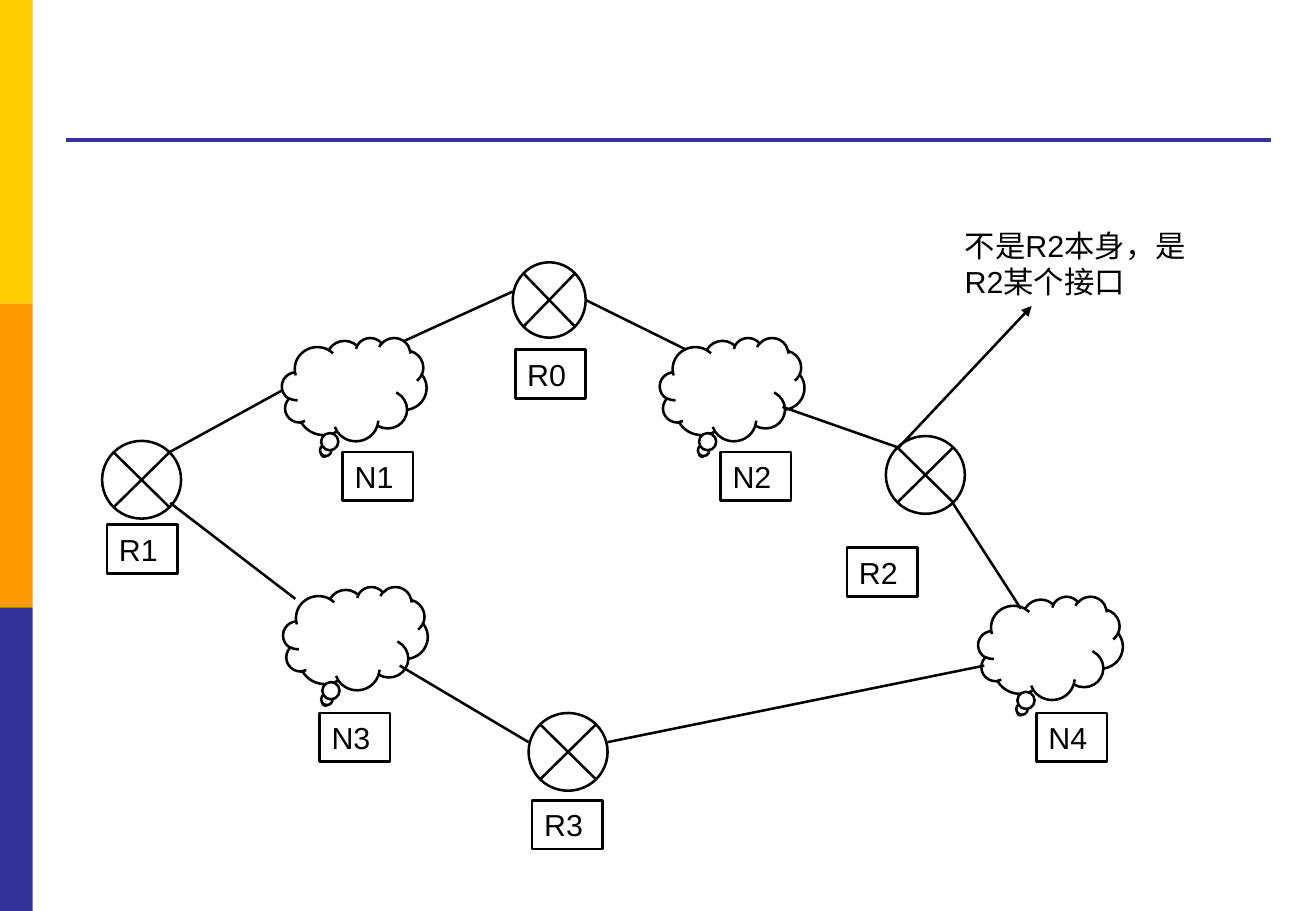
import pptx
import pptx.util
import pptx.dml.color
import pptx.enum.shapes
import pptx.enum.text
import pptx.oxml.ns
from lxml import etree

Inches, Pt = pptx.util.Inches, pptx.util.Pt
SHAPE = pptx.enum.shapes.MSO_SHAPE


def rgb(value):
    return pptx.dml.color.RGBColor.from_string(value)


def add_line(x1, y1, x2, y2, color="000000", width=1.5):
    straight = pptx.enum.shapes.MSO_CONNECTOR.STRAIGHT
    c = s.shapes.add_connector(straight, Inches(x1), Inches(y1), Inches(x2), Inches(y2))
    c.line.color.rgb = rgb(color)
    c.line.width = Pt(width)
    etree.SubElement(c._element.spPr, pptx.oxml.ns.qn("a:effectLst"))
    return c


prs = pptx.Presentation()
prs.slide_width, prs.slide_height = Inches(10.83), Inches(7.5)
s = prs.slides.add_slide(prs.slide_layouts[6])

# Colour bands on the left and the title rule
for i, color in enumerate(["FFCC00", "FF9900", "333399"]):
    sp = s.shapes.add_shape(SHAPE.RECTANGLE, 0, Inches(2.5 * i), Inches(0.27), Inches(2.5))
    sp.shadow.inherit = False
    sp.fill.solid()
    sp.fill.fore_color.rgb = rgb(color)
    sp.line.fill.background()
add_line(0.54, 1.15, 10.46, 1.15, "333399", 2.25)

# Routers (ellipses) and networks (clouds)
routers = [
    (4.22, 2.16, 0.6, 0.62),
    (0.84, 3.63, 0.65, 0.64),
    (7.29, 3.59, 0.65, 0.64),
    (4.35, 5.87, 0.65, 0.64),
]
networks = [(x, y, 1.19, 0.85) for x, y in [(2.32, 2.78), (5.43, 2.78), (2.33, 4.83), (8.05, 4.91)]]
for kind, boxes in [(SHAPE.OVAL, routers), (SHAPE.CLOUD_CALLOUT, networks)]:
    for box in boxes:
        sp = s.shapes.add_shape(kind, *map(Inches, box))
        sp.shadow.inherit = False
        sp.fill.solid()
        sp.fill.fore_color.rgb = rgb("FFFFFF")
        sp.line.color.rgb = rgb("000000")
        sp.line.width = Pt(1.5)

# Cross in each router, ending on the ellipse at 45 degrees
for x, y, w, h in routers:
    dx, dy = 0.15 * w, 0.15 * h
    add_line(x + dx, y + dy, x + w - dx, y + h - dy)
    add_line(x + dx, y + h - dy, x + w - dx, y + dy)

# Links between routers and networks
links = [
    (1.4, 3.72, 2.33, 3.21),
    (3.32, 2.81, 4.22, 2.4),
    (5.65, 2.88, 4.82, 2.47),
    (7.38, 3.68, 6.44, 3.35),
    (8.4, 5.01, 7.84, 4.14),
    (5, 6.11, 8.1, 5.48),
    (3.29, 5.48, 4.35, 6.11),
    (1.4, 4.14, 2.43, 4.93),
]
for link in links:
    add_line(*link)

# Arrow from R2 to its note
arrow = add_line(7.39, 3.69, 8.49, 2.52)
etree.SubElement(arrow.line._get_or_add_ln(), pptx.oxml.ns.qn("a:tailEnd"), type="triangle")

# Framed labels and the note
texts = [
    ("R0", 4.24, 2.88), ("R1", 0.88, 4.32), ("R2", 6.97, 4.51), ("R3", 4.38, 6.59),
    ("N1", 2.82, 3.72), ("N2", 5.93, 3.72), ("N3", 2.63, 5.87), ("N4", 8.53, 5.87),
    ("不是R2本身，是R2某个接口", 7.84, 1.82),
]
for text, x, y in texts:
    is_label = len(text) == 2
    w, h = (0.58, 0.4) if is_label else (2.11, 0.71)
    sp = s.shapes.add_textbox(Inches(x), Inches(y), Inches(w), Inches(h))
    if is_label:
        sp.line.color.rgb = rgb("000000")
        sp.line.width = Pt(1.5)
    tf = sp.text_frame
    tf.word_wrap = True
    tf.auto_size = pptx.enum.text.MSO_AUTO_SIZE.SHAPE_TO_FIT_TEXT
    r = tf.paragraphs[0].add_run()
    r.text = text
    for name, value in {"name": "Arial", "size": Pt(18)}.items():
        setattr(r.font, name, value)
    r.font.color.rgb = rgb("000000")

prs.save("out.pptx")
